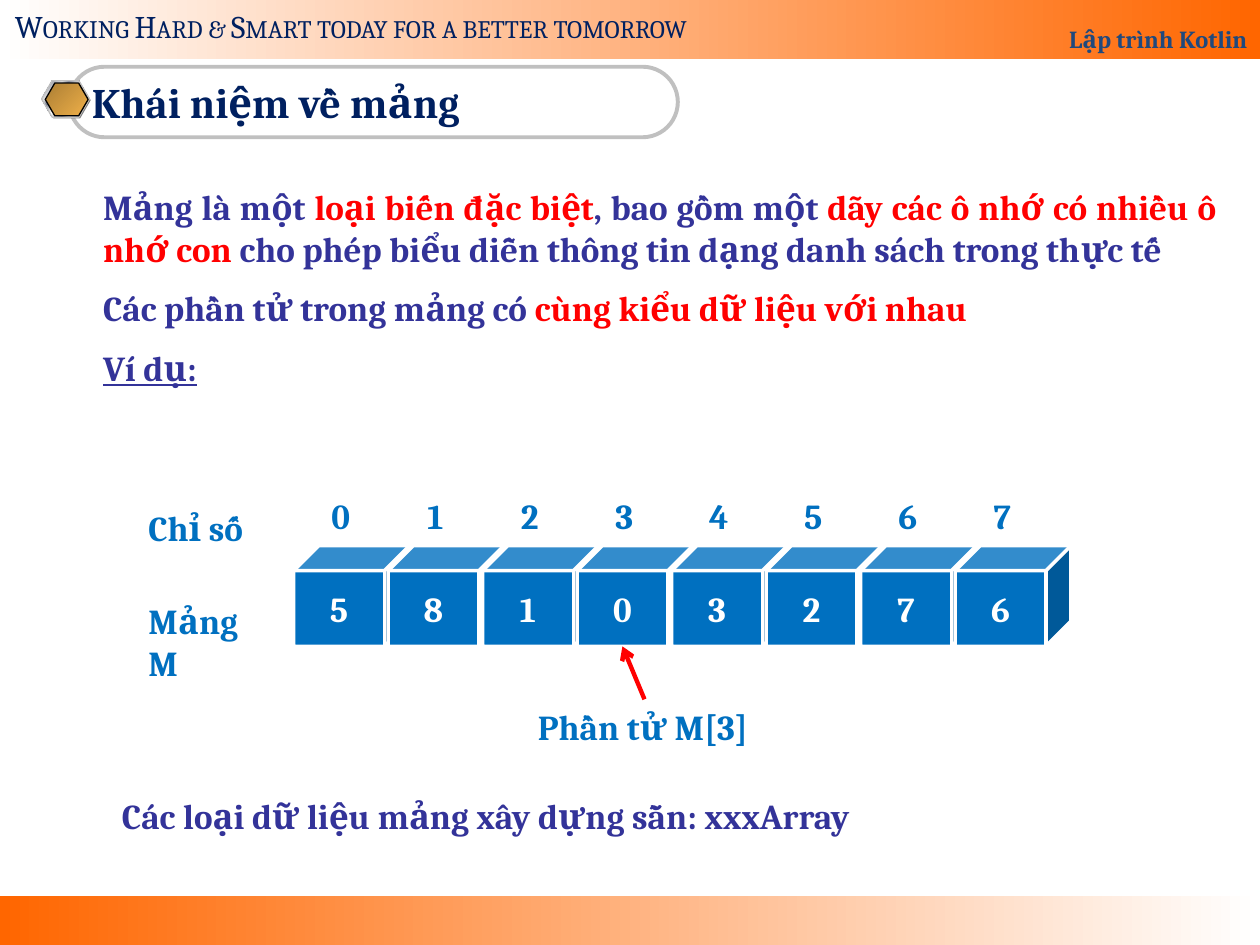
from dataclasses import dataclass
from lxml import etree
from pptx import Presentation
from pptx.dml.color import RGBColor
from pptx.enum.shapes import MSO_CONNECTOR, MSO_SHAPE
from pptx.enum.text import MSO_ANCHOR, PP_ALIGN
from pptx.oxml.ns import qn
from pptx.util import Inches, Pt

RECT, PILL = MSO_SHAPE.RECTANGLE, MSO_SHAPE.ROUNDED_RECTANGLE
HEX, CUBE = MSO_SHAPE.HEXAGON, MSO_SHAPE.CUBE
STRAIGHT = MSO_CONNECTOR.STRAIGHT
LEFT, MID, RIGHT, JUST = PP_ALIGN.LEFT, PP_ALIGN.CENTER, PP_ALIGN.RIGHT, PP_ALIGN.JUSTIFY
TOP, CENTER, BOTTOM = MSO_ANCHOR.TOP, MSO_ANCHOR.MIDDLE, MSO_ANCHOR.BOTTOM


@dataclass(frozen=True)
class Theme:
    font: str = "Cambria"
    navy: str = "002060"
    slate: str = "1F497D"
    indigo: str = "333399"
    blue: str = "0070C0"
    red: str = "FF0000"
    orange: str = "FF6600"
    white: str = "FFFFFF"
    black: str = "000000"
    gray: str = "808080"
    silver: str = "C0C0C0"
    gold: tuple = ((0, "AB7E34"), (100, "EFB049"))
    steel: tuple = ((0, "E6E6E6"), (7, "7D8496"), (26, "E6E6E6"), (34, "7D8496"),
                    (46, "E6E6E6"), (50, "FFFFFF"), (54, "E6E6E6"), (66, "7D8496"),
                    (74, "E6E6E6"), (93, "7D8496"), (100, "E6E6E6"))
    small: int = 14
    motto: int = 18
    body: int = 20
    title: int = 24
    gap: int = 10


T = Theme()

# Content: a paragraph is a list of (text, colour) runs
MOTTO = "Working Hard & Smart today for a better tomorrow"
COURSE = "Lập trình Kotlin"
TITLE = "Khái niệm về mảng"
BODY = [
    [("Mảng là một ", T.indigo), ("loại biến đặc biệt", T.red),
     (", bao gồm một ", T.indigo), ("dãy các ô nhớ có nhiều ô nhớ con ", T.red),
     ("cho phép biểu diễn thông tin dạng danh sách trong thực tế", T.indigo)],
    [("Các phần tử trong mảng có ", T.indigo), ("cùng kiểu dữ liệu với nhau", T.red)],
    [("Ví dụ:", T.indigo)],
]
VALUES = [5, 8, 1, 0, 3, 2, 7, 6]
PICK = 3
INDEX, ARRAY = "Chỉ số", "Mảng M"
TYPES = "Các loại dữ liệu mảng xây dựng sẵn: xxxArray"

# Layout, in inches
WIDE, HIGH = 10, 7.5
FOOT = 0.39
COL, LEAD = 0.75, 2.33
CELL_W, CELL_H, CELL_Y = 0.92, 0.8, 4.33
TEXT_W, ROW = 9.03, 0.44

deck = Presentation()
deck.slide_width, deck.slide_height = Inches(WIDE), Inches(HIGH)
slide = deck.slides.add_slide(deck.slide_layouts[6])


def rgb(code):
    return RGBColor.from_string(code)


def blend(shape, stops, angle):
    """Fill with a gradient of (percent, colour) stops."""
    shape.fill.gradient()
    shape.fill.gradient_angle = angle
    row = shape._element.spPr.find(qn("a:gradFill")).find(qn("a:gsLst"))
    for old in list(row):
        row.remove(old)
    for at, code in stops:
        stop = etree.SubElement(row, qn("a:gs"), pos=str(at * 1000))
        etree.SubElement(stop, qn("a:srgbClr"), val=code)


def draw(kind, box, fill=None, line=None, width=0.75, angle=0, adj=None):
    shape = slide.shapes.add_shape(kind, *map(Inches, box))
    shape.shadow.inherit = False
    if adj is not None:
        shape.adjustments[0] = adj
    if fill is None:
        shape.fill.background()
    elif isinstance(fill, str):
        shape.fill.solid()
        shape.fill.fore_color.rgb = rgb(fill)
    else:
        blend(shape, fill, angle)
    if line:
        shape.line.color.rgb = rgb(line)
        shape.line.width = Pt(width)
    else:
        shape.line.fill.background()
    return shape


def write(where, text, size=T.body, color=T.blue, bold=True, align=LEFT,
          anchor=TOP, wrap=True, space=None, caps=False):
    """Put text into a shape, or into a new text box when given a box."""
    if isinstance(where, tuple):
        where = slide.shapes.add_textbox(*map(Inches, where))
    frame = where.text_frame
    frame.word_wrap, frame.vertical_anchor = wrap, anchor
    paras = [[(text, color)]] if isinstance(text, str) else text
    for i, runs in enumerate(paras):
        para = frame.add_paragraph() if i else frame.paragraphs[0]
        para.alignment = align
        if i:
            para.space_before = Pt(T.gap)
        if space:
            para.line_spacing = space
        for words, code in runs:
            run = para.add_run()
            run.text = words
            font = run.font
            font.name, font.size, font.bold = T.font, Pt(size), bold
            font.color.rgb = rgb(code)
            if caps:
                run._r.get_or_add_rPr().set("cap", "small")
    return where


def point(label, end):
    """Draw a red arrow from the top of a label to a spot."""
    arrow = slide.shapes.add_connector(STRAIGHT, 0, 0, *map(Inches, end))
    arrow.begin_connect(label, 0)
    arrow.line.color.rgb = rgb(T.red)
    arrow.line.width = Pt(2.5)
    etree.SubElement(arrow.line._get_or_add_ln(), qn("a:tailEnd"), type="arrow")
    etree.SubElement(arrow._element.spPr, qn("a:effectLst"))


# Bands
draw(RECT, (0, HIGH - FOOT, WIDE, FOOT), ((0, T.orange), (100, T.white)))
head = draw(RECT, (0, -0.06, WIDE, 0.53), ((0, T.white), (100, T.orange)))
write(head, COURSE, size=T.small, color=T.slate, align=RIGHT, anchor=BOTTOM, space=1.8)
write((0.02, 0.01, 5.9, 0.4), MOTTO, size=T.motto, color=T.navy, bold=False,
      wrap=False, caps=True)

# Title and its badge
pill = draw(PILL, (0.55, 0.53, 4.83, 0.56), line=T.silver, width=2.25, adj=0.5)
write(pill, TITLE, size=T.title, color=T.navy, anchor=CENTER, wrap=False)
for box, fill, line in [
    ((0.34, 0.65, 0.38, 0.29), T.gray, None),
    ((0.33, 0.64, 0.38, 0.29), T.steel, T.silver),
    ((0.36, 0.66, 0.34, 0.26), T.gold, T.black),
]:
    draw(HEX, box, fill, line, angle=315, adj=0.29)

# Body
body = write((0.72, 1.42, TEXT_W, 1.78), BODY, align=JUST)
body.text_frame.paragraphs[-1].runs[0].font.underline = True

# Array
lefts = [LEAD + i * COL for i in range(len(VALUES))]
for x, value in zip(lefts, VALUES):
    cube = draw(CUBE, (x, CELL_Y, CELL_W, CELL_H), T.blue, T.white, 2)
    write(cube, str(value), color=T.white, align=MID, anchor=CENTER)
for i, x in enumerate(lefts):
    write((x, 3.88, COL, 0.42), str(i), align=MID, anchor=CENTER)
write((1.08, 4.71, 1.2, ROW), ARRAY)
write((1.08, 3.97, 0.97, ROW), INDEX, wrap=False)
label = write((4.17, 5.55, 1.89, ROW), f"Phần tử M[{PICK}]", wrap=False)
front = CELL_W - CELL_H / 4
point(label, (lefts[PICK] + front / 2, CELL_Y + CELL_H))

write((0.87, 6.26, TEXT_W, ROW), TYPES, color=T.indigo, align=JUST)

deck.save("out.pptx")
